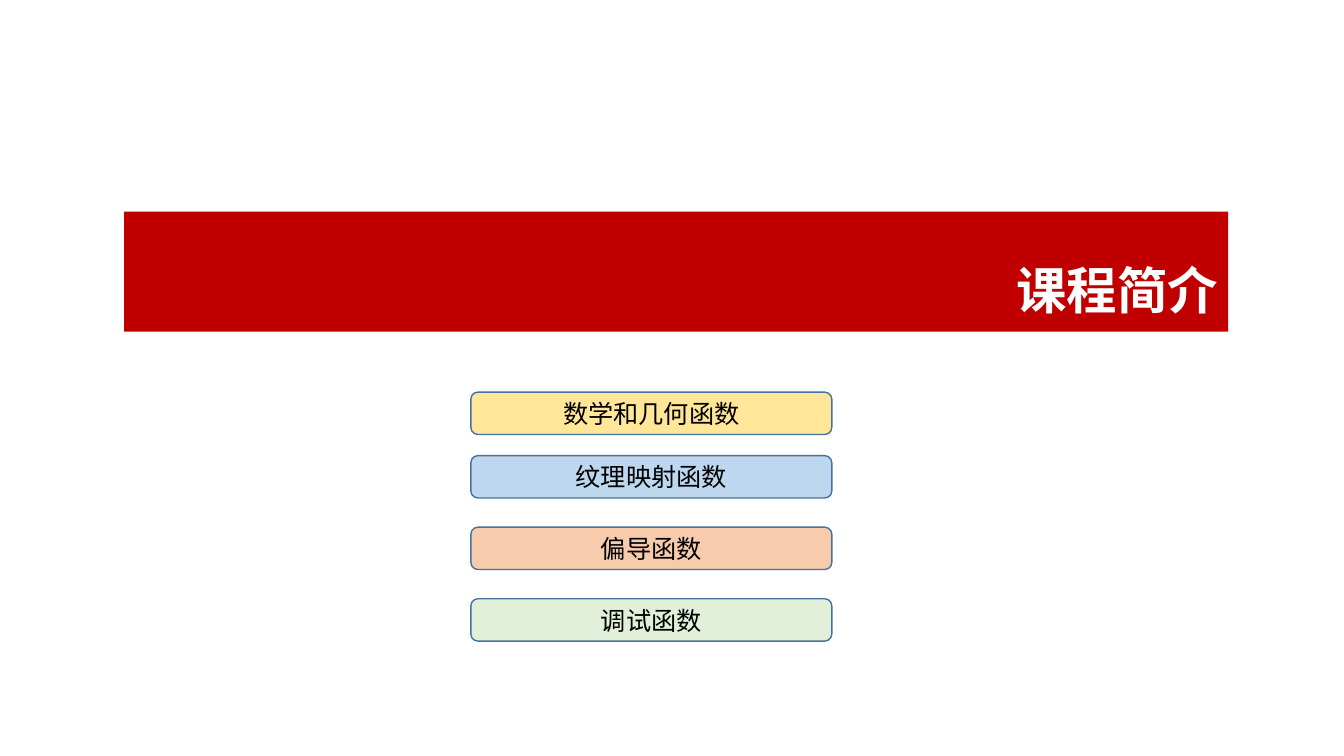
from lxml.etree import SubElement
from pptx import Presentation
from pptx.dml.color import RGBColor
from pptx.enum.shapes import MSO_SHAPE as SHAPE
from pptx.enum.text import MSO_ANCHOR as ANCHOR, MSO_AUTO_SIZE as FIT, PP_ALIGN as ALIGN
from pptx.oxml.ns import qn
from pptx.util import Inches, Pt

RED = RGBColor(0xC0, 0x00, 0x00)
WHITE = RGBColor(0xFF, 0xFF, 0xFF)
BLACK = RGBColor(0x00, 0x00, 0x00)
EDGE = RGBColor(0x43, 0x73, 0x9E)
YELLOW = RGBColor(0xFF, 0xE6, 0x99)
BLUE = RGBColor(0xBD, 0xD7, 0xEE)
ORANGE = RGBColor(0xF8, 0xCB, 0xAD)
GREEN = RGBColor(0xE2, 0xF0, 0xD9)
FONT = "Noto Sans CJK SC"

# Content: heading, then topics with their top edge and colour
HEADING = "课程简介"
TOPICS = [
    ("数学和几何函数", 3.89, YELLOW),
    ("纹理映射函数", 4.52, BLUE),
    ("偏导函数", 5.23, ORANGE),
    ("调试函数", 5.94, GREEN),
]

# Layout in inches
LEFT, WIDE = 1.23, 10.95
BAND = (LEFT, 2.1, WIDE, 1.19)
TITLE = (LEFT, 1.78, WIDE, 1.45)
TOPIC_X, TOPIC_W, TOPIC_H = 4.67, 3.58, 0.42


def add_box(kind, area, fill):
    box = slide.shapes.add_shape(kind, *map(Inches, area))
    box.shadow.inherit = False
    box.fill.solid()
    box.fill.fore_color.rgb = fill
    box.line.fill.background()
    return box


def write(shape, text, size, color, align, anchor, bold=False):
    frame = shape.text_frame
    frame.auto_size = FIT.NONE
    frame.word_wrap = True
    frame.vertical_anchor = anchor
    para = frame.paragraphs[0]
    para.alignment = align
    run = para.add_run()
    run.text = text
    font = run.font
    font.size, font.bold, font.name = Pt(size), bold, FONT
    font.color.rgb = color
    SubElement(run._r.get_or_add_rPr(), qn("a:ea")).set("typeface", FONT)
    return para


deck = Presentation()
deck.slide_width, deck.slide_height = Inches(13.33), Inches(7.5)
slide = deck.slides.add_slide(deck.slide_layouts[5])

# Red band, sent behind the title
band = add_box(SHAPE.RECTANGLE, BAND, RED)
slide.shapes._spTree.insert(2, band._element)

# Title
title = slide.shapes.title
title.left, title.top, title.width, title.height = map(Inches, TITLE)
para = write(title, HEADING, 36, WHITE, ALIGN.RIGHT, ANCHOR.BOTTOM, True)
para.line_spacing = 0.9

# Topic boxes
for name, top, fill in TOPICS:
    box = add_box(SHAPE.ROUNDED_RECTANGLE, (TOPIC_X, top, TOPIC_W, TOPIC_H), fill)
    box.line.color.rgb = EDGE
    box.line.width = Pt(1)
    write(box, name, 18, BLACK, ALIGN.CENTER, ANCHOR.MIDDLE)

deck.save("out.pptx")
